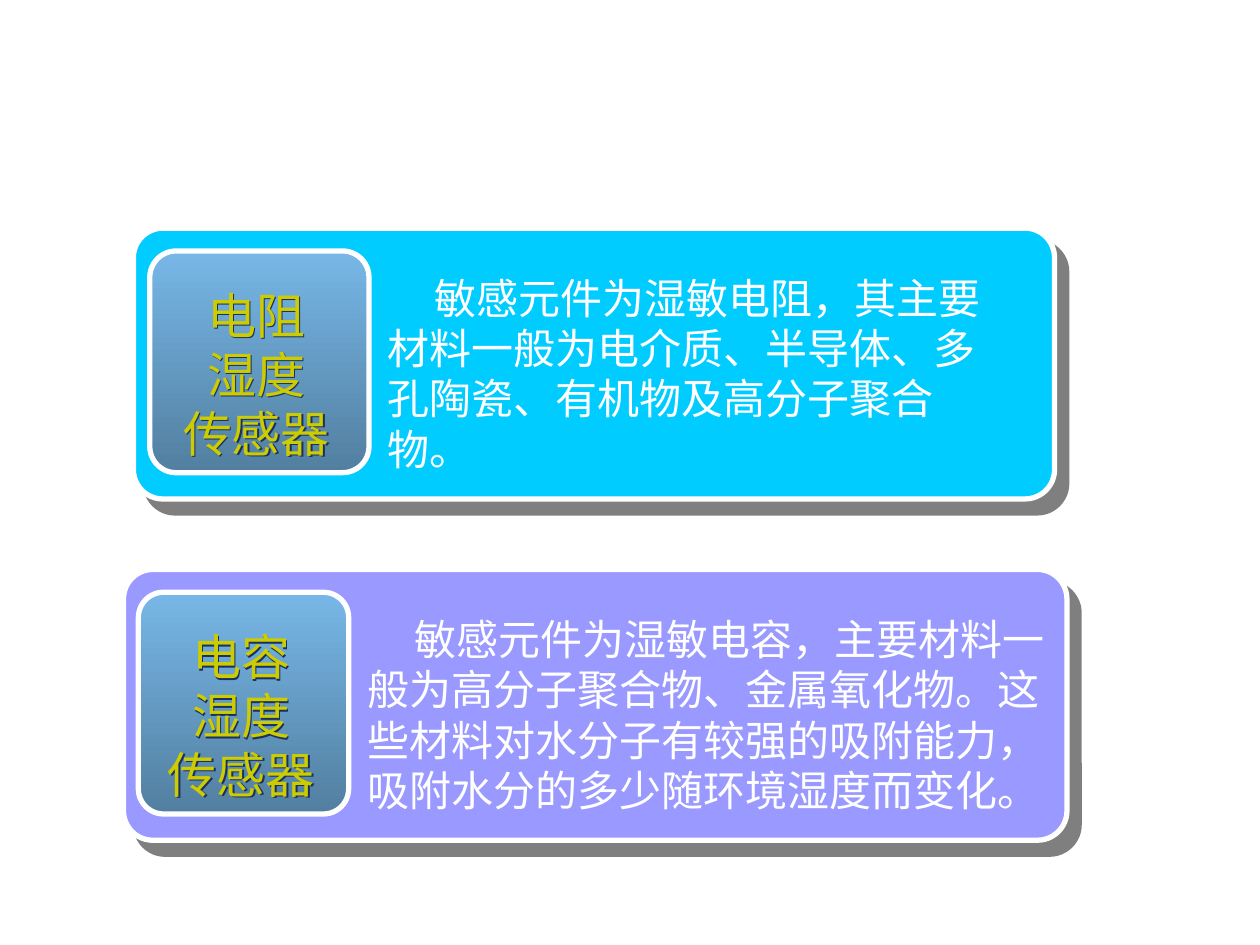
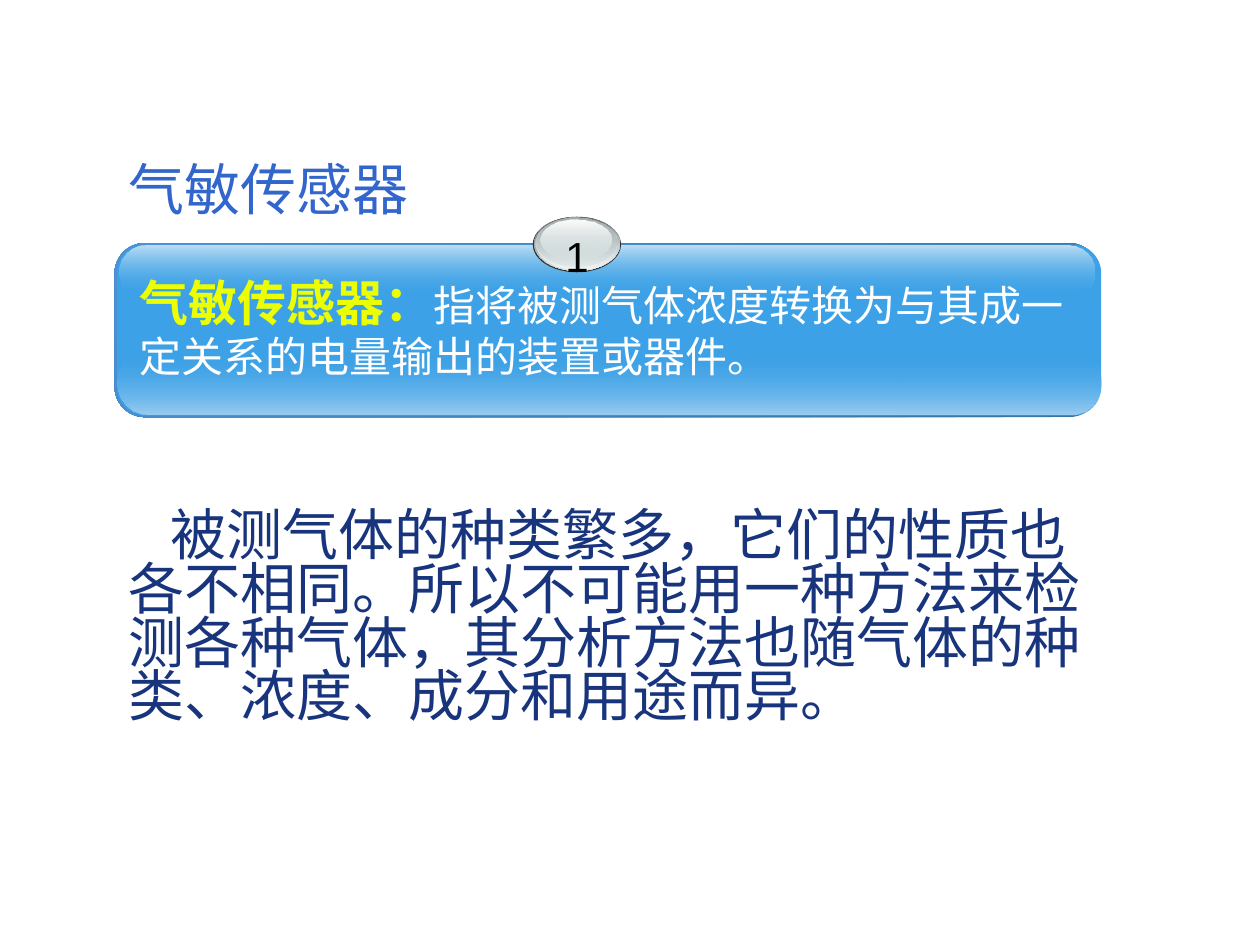
from lxml import etree
from pptx import Presentation
from pptx.dml.color import RGBColor
from pptx.enum.shapes import MSO_SHAPE
from pptx.enum.text import MSO_ANCHOR, PP_ALIGN
from pptx.oxml.ns import qn
from pptx.util import Cm, Pt

ROUNDED = MSO_SHAPE.ROUNDED_RECTANGLE
OVAL = MSO_SHAPE.OVAL
TOP = MSO_ANCHOR.TOP
LEFT = PP_ALIGN.LEFT
CENTER = PP_ALIGN.CENTER

HAN = "Noto Sans CJK JP"
SANS = "DejaVu Sans"
LATIN = "Arial"
WHITE = "FFFFFF"
BLACK = "000000"
LABEL_YELLOW = "CCCC00"
LABEL_SHADOW = "1A3060"
TERM_YELLOW = "ECFE02"
TITLE_BLUE = "3366CC"
BODY_BLUE = "17347D"
PANEL_BLUE = "3CA1E6"
SILVER = "D6E1E2"
TILE_BLUES = (("77B7E7", 100), ("527FA0", 100))


def color(value):
    """Turn a hex string into a colour."""
    return RGBColor.from_string(value)


class SlideWriter:
    """Holds the deck, its style and the current slide."""

    def __init__(self):
        """Start an empty deck of 10 by 7.5 inches."""
        self.deck = Presentation()
        self.deck.slide_width = Cm(25.4)
        self.deck.slide_height = Cm(19.05)
        self.page = None

    def new_page(self):
        """Add a blank slide and make it current."""
        self.page = self.deck.slides.add_slide(self.deck.slide_layouts[6])

    def shape(self, kind, frame, fill, angle=90, corner=None, outlined=False):
        """Draw a preset shape with a plain colour or two gradient stops."""
        shape = self.page.shapes.add_shape(kind, *map(Cm, frame))
        if corner is not None:
            shape.adjustments[0] = corner
        if isinstance(fill, str):
            shape.fill.solid()
            shape.fill.fore_color.rgb = color(fill)
        else:
            self.gradient(shape, fill, angle)
        if outlined:
            shape.line.color.rgb = color(WHITE)
            shape.line.width = Pt(3)
        else:
            shape.line.fill.background()
        shape.shadow.inherit = False
        return shape

    def gradient(self, shape, stops, angle):
        """Fill a shape with (colour, opacity) stops, angle clockwise."""
        shape.fill.gradient()
        shape.fill.gradient_angle = 360 - angle
        for stop, (value, _) in zip(shape.fill.gradient_stops, stops):
            stop.color.rgb = color(value)
        marks = shape._element.spPr.iter(qn("a:srgbClr"))
        for mark, (_, opacity) in zip(list(marks), stops):
            etree.SubElement(mark, qn("a:alpha"), val=str(opacity * 1000))

    def shadow(self, shape, distance, value, opacity):
        """Put a sharp shadow to the lower right of a shape or its text."""
        shape.shadow.inherit = False
        effects = shape._element.spPr.find(qn("a:effectLst"))
        outer = etree.SubElement(effects, qn("a:outerShdw"), blurRad="0",
                                 dist=str(Pt(distance)), dir=str(49 * 60000),
                                 algn="ctr", rotWithShape="0")
        mark = etree.SubElement(outer, qn("a:srgbClr"), val=value)
        etree.SubElement(mark, qn("a:alpha"), val=str(opacity * 1000))

    def text(self, frame, paragraphs, align=LEFT, wrap=True, margin=0,
             indent=0, spacing=None):
        """Write paragraphs, each a list of arguments for span."""
        shape = self.page.shapes.add_textbox(*map(Cm, frame))
        box = shape.text_frame
        box.word_wrap = wrap
        box.vertical_anchor = TOP
        for number, spans in enumerate(paragraphs):
            para = box.add_paragraph() if number else box.paragraphs[0]
            para.alignment = align
            para.line_spacing = spacing
            properties = para._p.get_or_add_pPr()
            properties.set("marL", str(Cm(margin)))
            properties.set("indent", str(Cm(indent)))
            properties.set("hangingPunct", "0")
            for arguments in spans:
                self.span(para, *arguments)
        return shape

    def span(self, para, words, size, font, value, bold=False):
        """Add one run of text."""
        span = para.add_run()
        span.text = words
        span.font.size = Pt(size)
        span.font.bold = bold
        span.font.name = font
        span.font.color.rgb = color(value)
        latin = span._r.get_or_add_rPr().find(qn("a:latin"))
        latin.addnext(etree.Element(qn("a:ea"), typeface=font))

    def card(self, frame, fill, tile, label, label_lines, detail, words):
        """Draw a sensor card; tile, label and detail are (left, width)."""
        top = frame[1]
        card = self.shape(ROUNDED, frame, fill, corner=0.109, outlined=True)
        self.shadow(card, 10.6, BLACK, 50)
        self.shape(ROUNDED, (tile[0], top + 0.46, tile[1], 4.47), TILE_BLUES,
                   corner=0.12, outlined=True)
        name = self.text((label[0], top + 1.03, label[1], 3.81),
                         [[(line, 28, HAN, LABEL_YELLOW)]
                          for line in label_lines], align=CENTER)
        self.shadow(name, 1.2, LABEL_SHADOW, 100)
        self.text((detail[0], top + 0.76, detail[1], 4.32),
                  [[(words, 24, HAN, WHITE)]], indent=0.94)


def humidity_page(writer):
    """Build the slide on the two humidity sensors."""
    writer.new_page()
    writer.card((2.69, 4.6, 18.57, 5.46), "00CCFF", (3.02, 4.42),
                (3.28, 3.78), ("电阻", "湿度", "传感器"), (7.57, 12.73),
                "敏感元件为湿敏电阻，其主要材料一般为电介质、半导体、"
                "多孔陶瓷、有机物及高分子聚合物。")
    writer.card((2.49, 11.48, 19.02, 5.46), "9999FF", (2.79, 4.24),
                (3.05, 3.63), ("电容", "湿度", "传感器"), (7.16, 14.3),
                "敏感元件为湿敏电容，主要材料一般为高分子聚合物、"
                "金属氧化物。这些材料对水分子有较强的吸附能力，"
                "吸附水分的多少随环境湿度而变化。")


def gas_page(writer):
    """Build the slide on gas sensors."""
    writer.new_page()
    writer.text((1.37, 10.21, 21.11, 4.98),
                [[("被测气体的种类繁多，它们的性质也各不相同。"
                   "所以不可能用一种方法来检测各种气体，"
                   "其分析方法也随气体的种类、浓度、成分和用途而异。",
                   32, HAN, BODY_BLUE)]],
                margin=0.97, indent=0.84, spacing=0.8)
    writer.text((1.91, 3, 7, 1.63),
                [[("气敏传感器", 32, SANS, TITLE_BLUE)]],
                align=CENTER, wrap=False)
    panel_layers = (
        ((2.31, 4.9, 19.86, 3.51), (("3477A4", 100), ("4E91D4", 100)), 225, 0.175),
        ((2.36, 4.93, 19.84, 3.45), PANEL_BLUE, 0, 0.167),
        ((2.36, 7.06, 19.84, 1.3), ((PANEL_BLUE, 0), ("9ACDF1", 100)), 90, 0.5),
        ((2.41, 4.95, 19.66, 1.04), (("BDDEF5", 100), (PANEL_BLUE, 0)), 90, 0.5),
    )
    for frame, fill, angle, corner in panel_layers:
        writer.shape(ROUNDED, frame, fill, angle, corner)
    badge_layers = (
        ((10.74, 4.37, 1.78, 1.12), "333333"),
        ((10.77, 4.37, 1.73, 1.09), (("626768", 100), (SILVER, 100))),
        ((10.8, 4.37, 1.68, 1.07), ((SILVER, 0), ("EFF3F3", 100))),
        ((10.82, 4.39, 1.6, 0.99), (("A8B1B2", 100), (SILVER, 48))),
        ((10.9, 4.42, 1.42, 0.81), (("FEFEFE", 100), (SILVER, 38))),
    )
    for frame, fill in badge_layers:
        writer.shape(OVAL, frame, fill)
    writer.text((11.15, 4.52, 0.97, 1.27), [[("1", 24, LATIN, BLACK)]],
                align=CENTER, wrap=False)
    writer.text((2.57, 5.36, 19.35, 3.48),
                [[("气敏传感器：", 28, SANS, TERM_YELLOW, True),
                  ("指将被测气体浓度转换为与其成一定关系的电量输出的装置或器件。",
                   24, LATIN, WHITE)]])


def main():
    """Build and save the deck."""
    writer = SlideWriter()
    humidity_page(writer)
    gas_page(writer)
    writer.deck.save("out.pptx")


if __name__ == "__main__":
    main()
